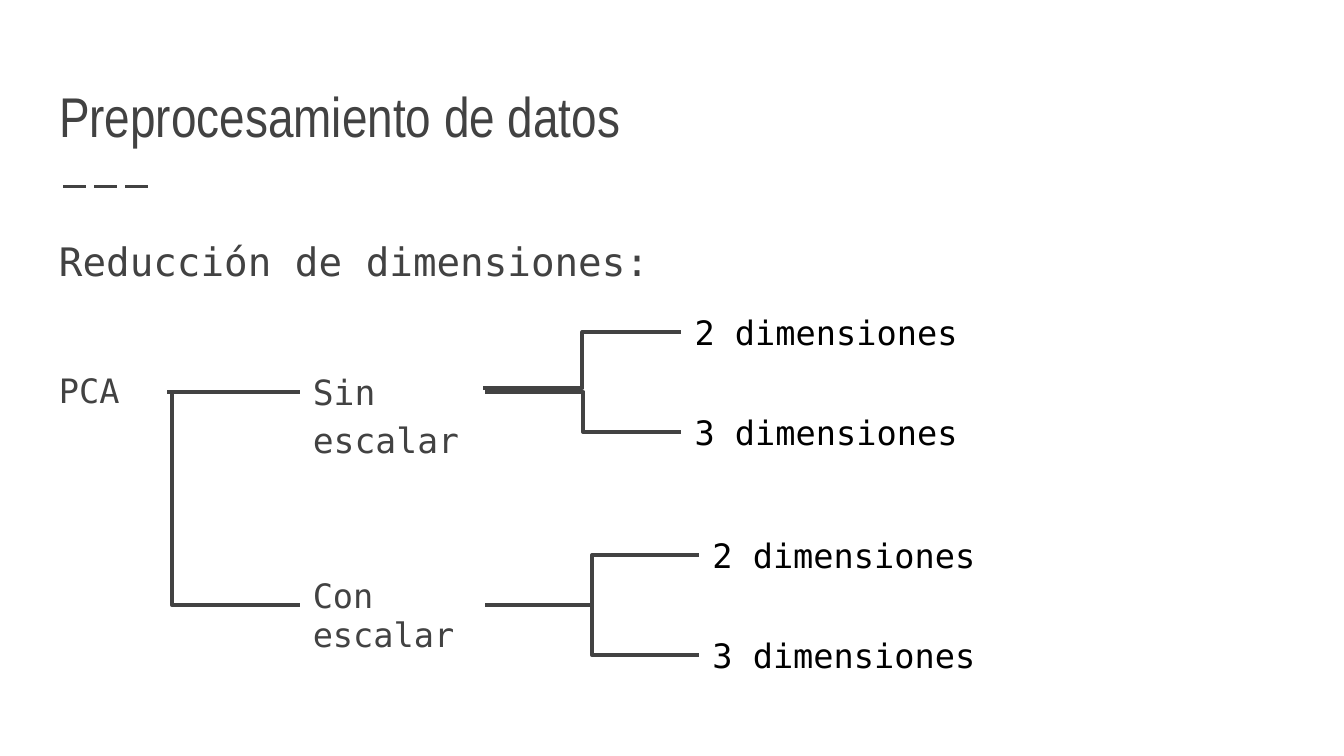
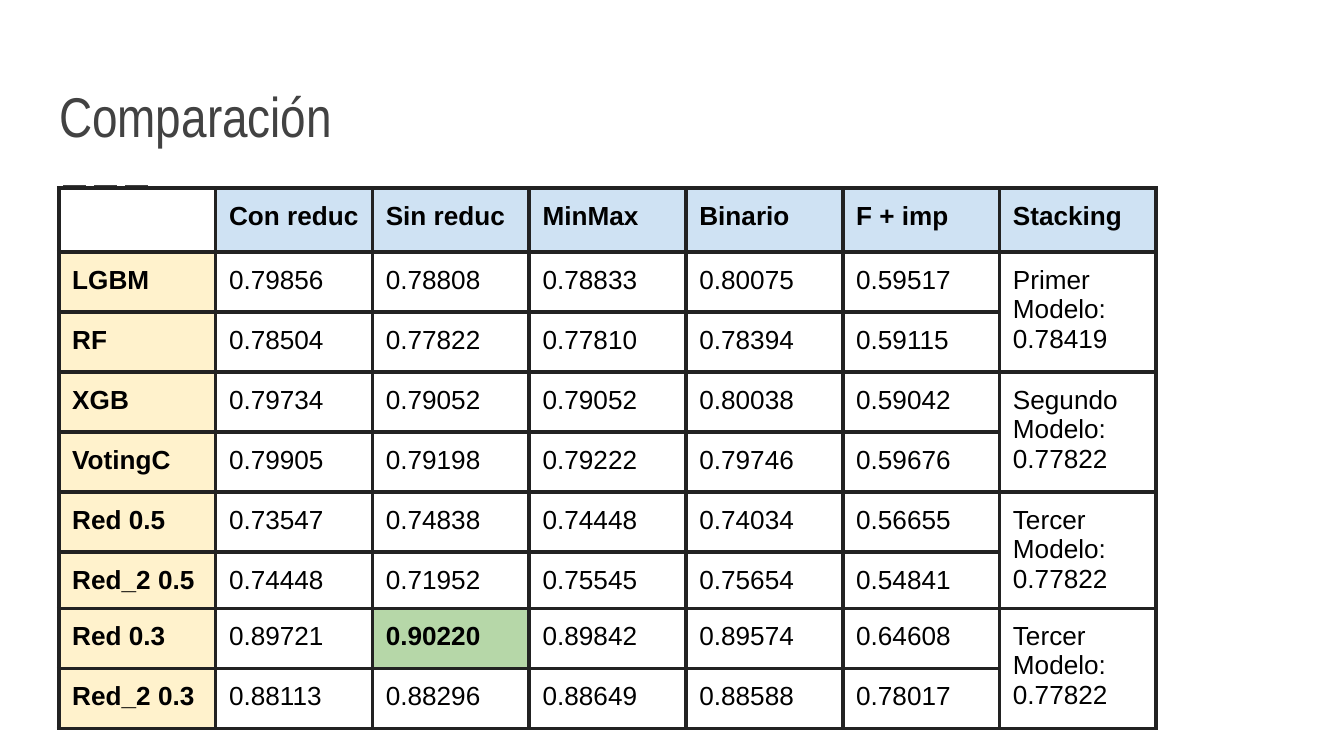
from dataclasses import dataclass

from lxml import etree
from pptx import Presentation
from pptx.dml.color import RGBColor
from pptx.enum import dml, shapes, text
from pptx.oxml import ns
from pptx.util import Pt


# Theme: colours, fonts and sizes
@dataclass(frozen=True)
class Theme:
    ink: str = "424242"
    black: str = "000000"
    grid: str = "222222"
    head: str = "CFE2F3"
    side: str = "FFF2CC"
    best: str = "B6D7A8"
    title: str = "Arial Narrow"
    mono: str = "DejaVu Sans Mono"
    sans: str = "Arial"
    big: float = 30
    lead: float = 21
    body: float = 18
    cell: float = 14
    inset: float = 7.2
    rule: float = 2.25


T = Theme()
WIDE, HIGH = 720, 405
LEFT, SPAN = 24.5, 671

# Slide 1: text (words, left, top, width, size, line spacing)
PREP = "Preprocesamiento de datos"
NOTES = [
    ("Reducción de dimensiones:", LEFT, 116, SPAN, T.lead, 1.15),
    ("PCA", LEFT, 188, 68, T.body, 1.15),
    ("Sin escalar", 160.5, 188, 100, 18.6, 1.15),
    ("Con escalar", 160.5, 302.5, 100, T.body, 0.95),
]
LEAVES = ["2 dimensiones", "3 dimensiones"]
# Forks: leaf left, first leaf top, stem ends (x, y) for each leaf
FORKS = [
    (365, 160, [(259, 208), (260, 210)]),
    (374.5, 279.5, [(260, 324), (260, 324)]),
]
LEAF_W, LEAF_H, LEAF_GAP = 181.5, 36, 53.5
ROOT, BRANCH, UPPER, LOWER = 92, 160.5, 210, 324

# Slide 2: table
COMP = "Comparación"
HEADS = ["", "Con reduc", "Sin reduc", "MinMax", "Binario", "F + imp", "Stacking"]
ROWS = [
    ("LGBM", "0.79856", "0.78808", "0.78833", "0.80075", "0.59517"),
    ("RF", "0.78504", "0.77822", "0.77810", "0.78394", "0.59115"),
    ("XGB", "0.79734", "0.79052", "0.79052", "0.80038", "0.59042"),
    ("VotingC", "0.79905", "0.79198", "0.79222", "0.79746", "0.59676"),
    ("Red 0.5", "0.73547", "0.74838", "0.74448", "0.74034", "0.56655"),
    ("Red_2 0.5", "0.74448", "0.71952", "0.75545", "0.75654", "0.54841"),
    ("Red 0.3", "0.89721", "0.90220", "0.89842", "0.89574", "0.64608"),
    ("Red_2 0.3", "0.88113", "0.88296", "0.88649", "0.88588", "0.78017"),
]
STACKS = [
    "Primer Modelo:\n0.78419",
    "Segundo Modelo:\n0.77822",
    "Tercer Modelo:\n0.77822",
    "Tercer Modelo:\n0.77822",
]
BEST = "0.90220"
TALL = [34.3] + [32.15] * 5 + [30] + [32.15] * 2
COL_W = 84


# Shared helpers
def rgb(code):
    return RGBColor.from_string(code)


def style(frame, face, size, color, bold=False):
    for par in frame.paragraphs:
        par.alignment = text.PP_ALIGN.LEFT
        font = par.font
        font.name, font.size, font.bold = face, Pt(size), bold
        font.color.rgb = rgb(color)


def pad(item):
    item.margin_left = item.margin_right = Pt(T.inset)
    item.margin_top = item.margin_bottom = Pt(T.inset)


def link(slide, start, end, kind=shapes.MSO_CONNECTOR.ELBOW, width=T.rule):
    wire = slide.shapes.add_connector(kind, *map(Pt, start + end))
    wire.line.color.rgb = rgb(T.ink)
    wire.line.width = Pt(width)
    etree.SubElement(wire.element.spPr, ns.qn("a:effectLst"))
    return wire


def line(slide, start, end, width=T.rule):
    return link(slide, start, end, shapes.MSO_CONNECTOR.STRAIGHT, width)


def label(slide, words, x, y, w, h, size, color, space=None):
    box = slide.shapes.add_textbox(Pt(x), Pt(y), Pt(w), Pt(h))
    frame = box.text_frame
    frame.word_wrap = True
    pad(frame)
    frame.text = words
    style(frame, T.mono, size, color)
    if space:
        par = frame.paragraphs[0]
        par.line_spacing, par.space_after = space, Pt(12)


def page(deck, words):
    slide = deck.slides.add_slide(deck.slide_layouts[5])
    dash = line(slide, (34, 100), (82, 100), 1.5)
    dash.line.dash_style = dml.MSO_LINE.LONG_DASH
    head = slide.shapes.title
    head.left, head.top, head.width, head.height = map(Pt, (LEFT, 29.5, SPAN, 57.5))
    frame = head.text_frame
    frame.text = words
    frame.vertical_anchor = text.MSO_ANCHOR.BOTTOM
    frame.auto_size = text.MSO_AUTO_SIZE.NONE
    pad(frame)
    style(frame, T.title, T.big, T.ink)
    return slide


# Slide 1: tree
def tree(deck):
    slide = page(deck, PREP)
    for words, x, y, w, size, space in NOTES:
        label(slide, words, x, y, w, 44, size, T.ink, space)

    bend = link(slide, (ROOT, UPPER), (BRANCH, LOWER))
    etree.SubElement(bend.element.spPr.prstGeom.get_or_add_avLst(),
                     ns.qn("a:gd"), name="adj1", fmla="val 0")
    line(slide, (ROOT - 2.5, UPPER), (BRANCH, UPPER))

    for x, top, stems in FORKS:
        for i, (words, stem) in enumerate(zip(LEAVES, stems)):
            y = top + i * LEAF_GAP
            label(slide, words, x, y, LEAF_W, LEAF_H, T.body, T.black)
            link(slide, stem, (x, y + LEAF_H / 2))


# Slide 2: scores
def edge(cell):
    props = cell._tc.get_or_add_tcPr()
    for side in ("lnL", "lnR", "lnT", "lnB"):
        rim = etree.SubElement(props, ns.qn("a:" + side), w=str(Pt(T.rule)))
        fill = etree.SubElement(rim, ns.qn("a:solidFill"))
        etree.SubElement(fill, ns.qn("a:srgbClr"), val=T.grid)


def tint(r, c, words):
    if r == 0:
        return T.head if words else None
    if c == 0:
        return T.side
    return T.best if words == BEST else None


def scores(deck):
    slide = page(deck, COMP)
    data = [HEADS]
    for i, row in enumerate(ROWS):
        data.append([*row, "" if i % 2 else STACKS[i // 2]])

    last = len(HEADS) - 1
    grid = slide.shapes.add_table(len(data), len(HEADS), Pt(31.5), Pt(100.75),
                                  Pt(COL_W * len(HEADS)), Pt(sum(TALL))).table
    grid.first_row = grid.horz_banding = False
    for col in grid.columns:
        col.width = Pt(COL_W)
    for row, high in zip(grid.rows, TALL):
        row.height = Pt(high)

    for r, row in enumerate(data):
        for c, words in enumerate(row):
            cell = grid.cell(r, c)
            pad(cell)
            cell.text = words
            color = tint(r, c, words)
            style(cell.text_frame, T.sans, T.cell, T.black, color is not None)
            edge(cell)
            if color:
                cell.fill.solid()
                cell.fill.fore_color.rgb = rgb(color)
            else:
                cell.fill.background()
    for r in range(1, len(data), 2):
        grid.cell(r, last).merge(grid.cell(r + 1, last))


def main():
    deck = Presentation()
    deck.slide_width, deck.slide_height = Pt(WIDE), Pt(HIGH)
    tree(deck)
    scores(deck)
    deck.save("out.pptx")


if __name__ == "__main__":
    main()
